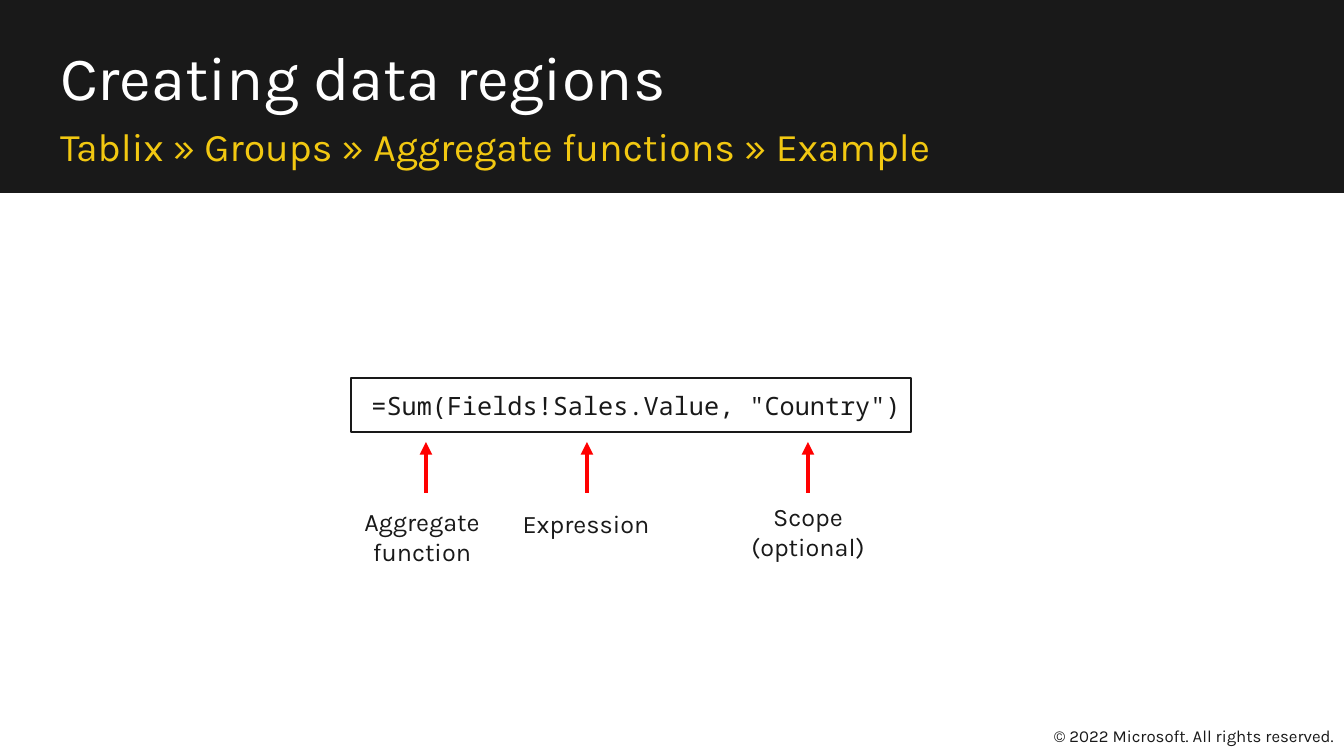
import pptx
import pptx.dml.color
import pptx.enum.shapes
import pptx.enum.text
import pptx.oxml.ns
import pptx.util
from lxml import etree

ALIGN = pptx.enum.text.PP_ALIGN
ANCHOR = pptx.enum.text.MSO_ANCHOR


def px(length):
    return pptx.util.Emu(round(length * 914400 / 100.8))


def color(value):
    return pptx.dml.color.RGBColor.from_string(value)


def write(box, text, size=18, font="Karla", ink="191919", align=ALIGN.LEFT,
          anchor=ANCHOR.TOP, spacing=1.0, insets=(10, 5, 10, 5), wrap=True):
    frame = box.text_frame
    frame.word_wrap = wrap
    frame.vertical_anchor = anchor
    frame.margin_left, frame.margin_top, frame.margin_right, frame.margin_bottom = map(px, insets)
    para = frame.paragraphs[0]
    para.alignment = align
    para.line_spacing = spacing
    span = para.add_run()
    span.text = text
    span.font.name = font
    span.font.size = pptx.util.Pt(size)
    span.font.color.rgb = color(ink)


class Slide:
    dark = "191919"
    accent = "F2C811"
    pointer = "FF0000"

    def __init__(self, deck):
        self.page = deck.slides.add_slide(deck.slide_layouts[6])

    def rectangle(self, left, top, width, height, fill, line=None):
        box = self.page.shapes.add_shape(
            pptx.enum.shapes.MSO_SHAPE.RECTANGLE, *map(px, (left, top, width, height)))
        box.shadow.inherit = False
        box.fill.solid()
        box.fill.fore_color.rgb = color(fill)
        if line:
            box.line.color.rgb = color(line)
            box.line.width = pptx.util.Pt(1.5)
        else:
            box.line.fill.background()
        return box

    def text(self, left, top, width, height, text, shapes=None, **style):
        shapes = shapes or self.page.shapes
        box = shapes.add_textbox(*map(px, (left, top, width, height)))
        write(box, text, **style)

    def arrow(self, x, top, bottom, shapes):
        line = shapes.add_connector(
            pptx.enum.shapes.MSO_CONNECTOR.STRAIGHT, *map(px, (x, top, x, bottom)))
        line.line.color.rgb = color(self.pointer)
        line.line.width = pptx.util.Pt(3)
        outline = line.line._get_or_add_ln()
        etree.SubElement(outline, pptx.oxml.ns.qn("a:headEnd"), type="triangle")
        etree.SubElement(line._element.spPr, pptx.oxml.ns.qn("a:effectLst"))

    def callout(self, arrow_x, left, top, width, height, label):
        group = self.page.shapes.add_group_shape()
        self.text(left, top, width, height, label, shapes=group.shapes, align=ALIGN.CENTER)
        self.arrow(arrow_x, 442, 493, group.shapes)


def main():
    deck = pptx.Presentation()
    deck.slide_width = px(1344)
    deck.slide_height = px(756)
    slide = Slide(deck)

    slide.rectangle(0, 0, 1344, 193, slide.dark)
    slide.text(50, 42, 1239, 77, "Creating data regions", size=44, ink="FFFFFF", spacing=0.9)
    slide.text(50, 119, 1239, 59, "Tablix » Groups » Aggregate functions » Example",
               size=28, ink=slide.accent, anchor=ANCHOR.MIDDLE, spacing=0.9)

    formula = slide.rectangle(351, 378, 560, 54, "FFFFFF", line=slide.dark)
    write(formula, '=Sum(Fields!Sales.Value, "Country")', font="Noto Sans Mono",
          align=ALIGN.CENTER, anchor=ANCHOR.MIDDLE, insets=(20, 8, 10, 8), wrap=False)

    for callout in (
        (426, 340, 501, 164, 72, "Aggregate function"),
        (587, 504, 503, 164, 40, "Expression"),
        (808, 741, 496, 134, 72, "Scope (optional)"),
    ):
        slide.callout(*callout)

    slide.text(1043, 716, 301, 40, "© 2022 Microsoft. All rights reserved.",
               size=12, align=ALIGN.RIGHT, anchor=ANCHOR.MIDDLE)
    deck.save("out.pptx")


if __name__ == "__main__":
    main()
